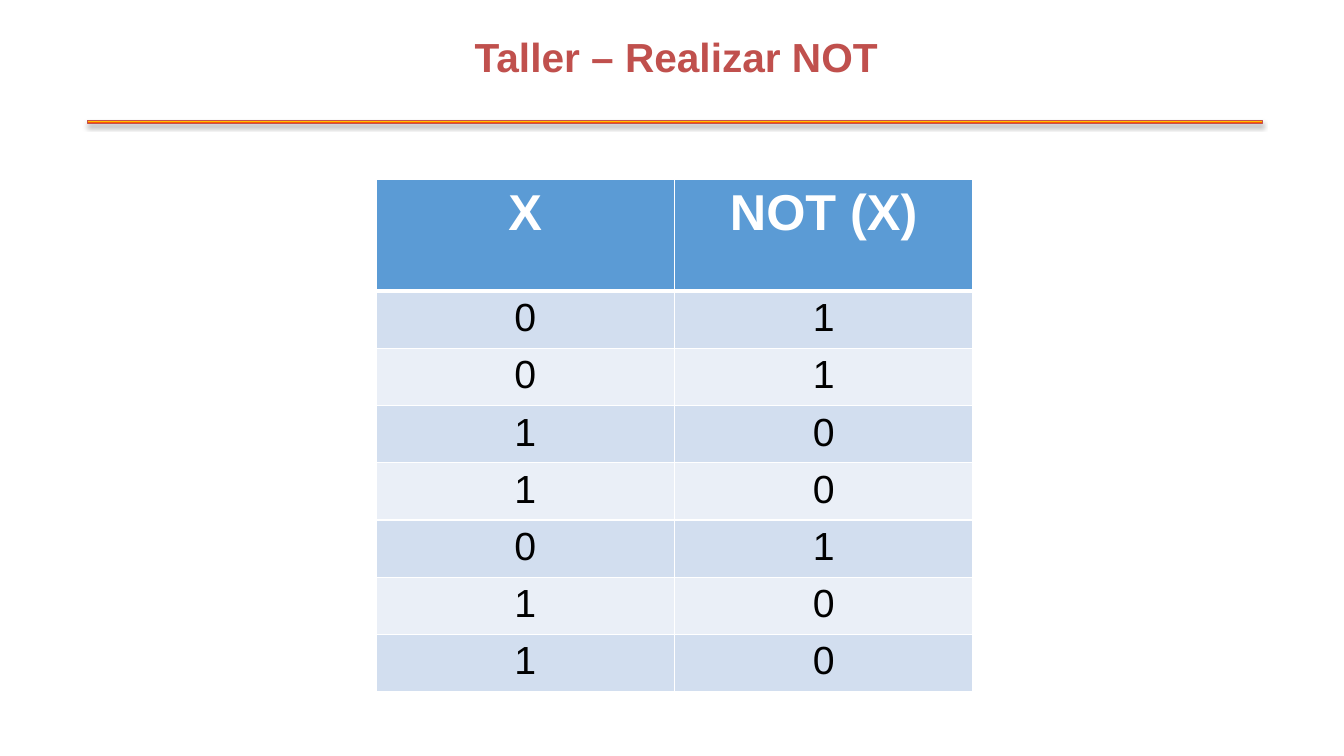
from lxml.etree import SubElement
from pptx import Presentation
from pptx.dml.color import RGBColor
from pptx.enum.shapes import MSO_SHAPE as Shape
from pptx.enum.text import MSO_ANCHOR as Anchor, PP_ALIGN as Align
from pptx.oxml.ns import qn
from pptx.util import Inches, Pt

COLORS = {
    "title": "C0504D", "white": "FFFFFF", "black": "000000",
    "header": "5B9BD5", "odd_row": "D2DEEF", "even_row": "EAEFF7",
    "yellow": "FFF200", "orange": "FF7A00", "red": "FF0300", "maroon": "4D0808",
}


def add_text(frame, text, size, color, bold):
    paragraph = frame.paragraphs[0]
    paragraph.alignment = Align.CENTER
    run = paragraph.add_run()
    run.text = text
    run.font.name = "Arial"
    run.font.size = Pt(size)
    run.font.bold = bold
    run.font.color.rgb = RGBColor.from_string(COLORS[color])


def add_xml_color(parent, color):
    return SubElement(parent, qn("a:srgbClr"), val=COLORS[color])


presentation = Presentation()
presentation.slide_width = Inches(13.33)
presentation.slide_height = Inches(7.5)
slide = presentation.slides.add_slide(presentation.slide_layouts[6])

# Title
title = slide.shapes.add_textbox(Inches(0.96), Inches(0.12), Inches(11.5), Inches(0.88))
title.text_frame.word_wrap = True
title.text_frame.vertical_anchor = Anchor.MIDDLE
add_text(title.text_frame, "Taller – Realizar NOT", 29, "title", True)

# Divider bar with a vertical gradient
divider = slide.shapes.add_shape(
    Shape.RECTANGLE, Inches(0.87), Inches(1.2), Inches(11.65), Inches(0.03))
divider.line.color.rgb = RGBColor.from_string(COLORS["title"])
divider.line.width = Pt(0.75)
divider.fill.gradient()
divider.fill.gradient_angle = 270
stops = divider.element.spPr.find(".//" + qn("a:gsLst"))
for stop in list(stops):
    stops.remove(stop)
for position, color in [(0, "yellow"), (45, "orange"), (70, "red"), (100, "maroon")]:
    add_xml_color(SubElement(stops, qn("a:gs"), pos=str(position * 1000)), color)

# Divider shadow
divider.shadow.inherit = False
effects = divider.element.spPr.find(qn("a:effectLst"))
shadow = SubElement(effects, qn("a:outerShdw"), blurRad=str(Pt(3.1)),
                    dist=str(Pt(1.8)), dir="5400000", rotWithShape="0")
SubElement(add_xml_color(shadow, "black"), qn("a:alpha"), val="35000")

# Truth table: each value of X and its negation
inputs = [0, 0, 1, 1, 0, 1, 1]
rows = [("X", "NOT (X)")] + [(str(x), str(1 - x)) for x in inputs]
table = slide.shapes.add_table(
    len(rows), 2, Inches(3.73), Inches(1.78), Inches(5.92), Inches(5.08)).table
for column in table.columns:
    column.width = Inches(2.96)

for row_index, values in enumerate(rows):
    is_header = row_index == 0
    table.rows[row_index].height = Inches(1.11 if is_header else 0.567)
    fill = "header" if is_header else "odd_row" if row_index % 2 else "even_row"
    for column_index, value in enumerate(values):
        cell = table.cell(row_index, column_index)
        if is_header:
            add_text(cell.text_frame, value, 36, "white", True)
        else:
            add_text(cell.text_frame, value, 28, "black", False)

        # White borders, thicker between header and body
        properties = cell._tc.get_or_add_tcPr()
        for side in ("lnL", "lnR", "lnT", "lnB"):
            thick = (row_index, side) in [(0, "lnB"), (1, "lnT")]
            border = SubElement(properties, qn("a:" + side), w=str(Pt(3 if thick else 1)))
            add_xml_color(SubElement(border, qn("a:solidFill")), "white")
        cell.fill.solid()
        cell.fill.fore_color.rgb = RGBColor.from_string(COLORS[fill])

presentation.save("out.pptx")
